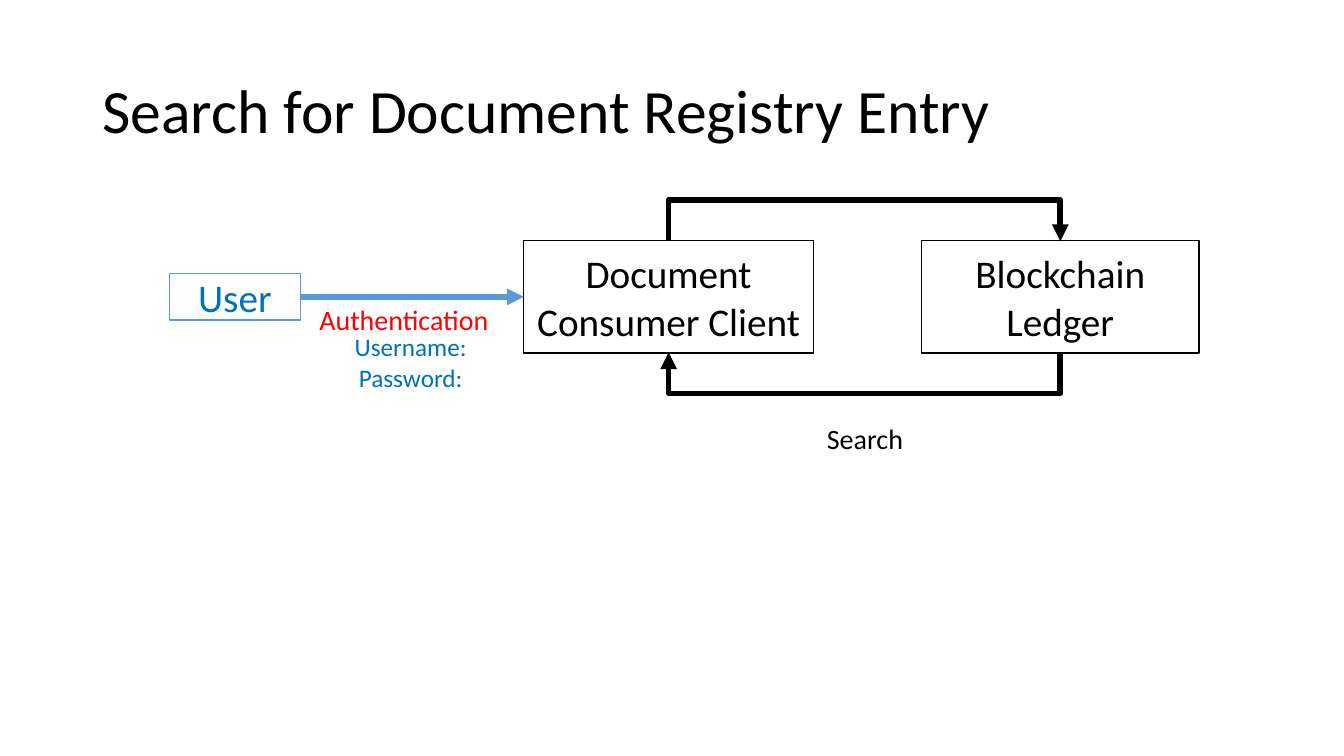
"""Build a slide showing how a user searches for a document registry entry."""
from lxml import etree
from pptx import Presentation
from pptx.dml.color import RGBColor
from pptx.enum.shapes import MSO_CONNECTOR, MSO_SHAPE
from pptx.enum.text import MSO_ANCHOR, MSO_AUTO_SIZE, PP_ALIGN
from pptx.oxml.ns import qn
from pptx.util import Cm, Pt

STRAIGHT, ELBOW = MSO_CONNECTOR.STRAIGHT, MSO_CONNECTOR.ELBOW
RECT, MIDDLE, NO_FIT = MSO_SHAPE.RECTANGLE, MSO_ANCHOR.MIDDLE, MSO_AUTO_SIZE.NONE
LEFT, CENTER = PP_ALIGN.LEFT, PP_ALIGN.CENTER
FONT, BLACK, BLUE, RED, SKY = "Calibri", "000000", "0070C0", "FF0000", "5B9BD5"

TITLE = "Search for Document Registry Entry"
TITLE_BOX = (2.33, 1.01, 29.21, 3.68)
BOXES = {
    "ledger": (["Blockchain", "Ledger"], (23.22, 6.06, 7, 2.84), BLACK, BLACK),
    "user": (["User"], (4.27, 6.89, 3.3, 1.18), SKY, BLUE),
    "client": (["Document Consumer Client"], (13.2, 6.06, 7.3, 2.84), BLACK, BLACK),
}
LABELS = [
    (["Authentication"], (7.59, 7.34, 5.18, 1.4), 20, RED),
    (["Username:\nPassword:"], (8.61, 7.87, 3.48, 2.5), 18, BLUE),
    (["Search"], (19.96, 10.34, 3.68, 1.42), 20, BLACK),
]
LOOP_DEPTH, LOOP_STEP = 1.04, 0.04


def rgb(value):
    return RGBColor.from_string(value)


def write(s, paragraphs, size, color, align=CENTER):
    tf = s.text_frame
    tf.word_wrap = True
    tf.auto_size = NO_FIT
    tf.vertical_anchor = MIDDLE
    for i, text in enumerate(paragraphs):
        p = tf.paragraphs[0] if i == 0 else tf.add_paragraph()
        p.alignment = align
        for j, line in enumerate(text.split("\n")):
            if j:
                p.add_line_break()
            r = p.add_run()
            r.text = line
            r.font.name, r.font.size = FONT, Pt(size)
            r.font.color.rgb = rgb(color)


def add_box(shapes, paragraphs, box, line, color):
    s = shapes.add_shape(RECT, *map(Cm, box))
    s.shadow.inherit = False
    s.fill.background()
    s.line.color.rgb = rgb(line)
    s.line.width = Pt(1)
    write(s, paragraphs, 28, color)
    return s


def style_arrow(s, color, end):
    s.line.color.rgb = rgb(color)
    s.line.width = Pt(4)
    etree.SubElement(s.line._get_or_add_ln(), qn(end), type="triangle")
    etree.SubElement(s._element.spPr, qn("a:effectLst"))


def add_loop(shapes, left, right, y, flip):
    span, mid = right - left, (left + right) / 2
    x, top = mid - LOOP_STEP / 2, y - span / 2
    s = shapes.add_connector(ELBOW, *map(Cm, (x, top, x + LOOP_STEP, top + span)))
    xfrm = s._element.spPr.find(qn("a:xfrm"))
    xfrm.set("rot", str(270 * 60000))
    xfrm.set(flip, "1")
    bend = round(LOOP_DEPTH / LOOP_STEP * 100000)
    guides = s._element.spPr.find(qn("a:prstGeom")).find(qn("a:avLst"))
    etree.SubElement(guides, qn("a:gd"), name="adj1", fmla=f"val {bend}")
    style_arrow(s, BLACK, "a:headEnd")


def main():
    prs = Presentation()
    prs.slide_width, prs.slide_height = Cm(33.87), Cm(19.05)
    slide = prs.slides.add_slide(prs.slide_layouts[5])
    shapes = slide.shapes

    title = shapes.title
    title.left, title.top, title.width, title.height = map(Cm, TITLE_BOX)
    write(title, [TITLE], 44, BLACK, LEFT)
    title.text_frame.paragraphs[0].line_spacing = 0.9

    boxes = {name: add_box(shapes, *spec) for name, spec in BOXES.items()}

    login = shapes.add_connector(STRAIGHT, 0, 0, 0, 0)
    login.begin_connect(boxes["user"], 3)
    login.end_connect(boxes["client"], 1)
    style_arrow(login, SKY, "a:tailEnd")

    x, top, width, height = BOXES["client"][1]
    ledger_x, _, ledger_width, _ = BOXES["ledger"][1]
    left, right = x + width / 2, ledger_x + ledger_width / 2
    add_loop(shapes, left, right, top, "flipV")
    add_loop(shapes, left, right, top + height, "flipH")

    for paragraphs, box, size, color in LABELS:
        write(shapes.add_textbox(*map(Cm, box)), paragraphs, size, color)

    prs.save("out.pptx")


if __name__ == "__main__":
    main()
